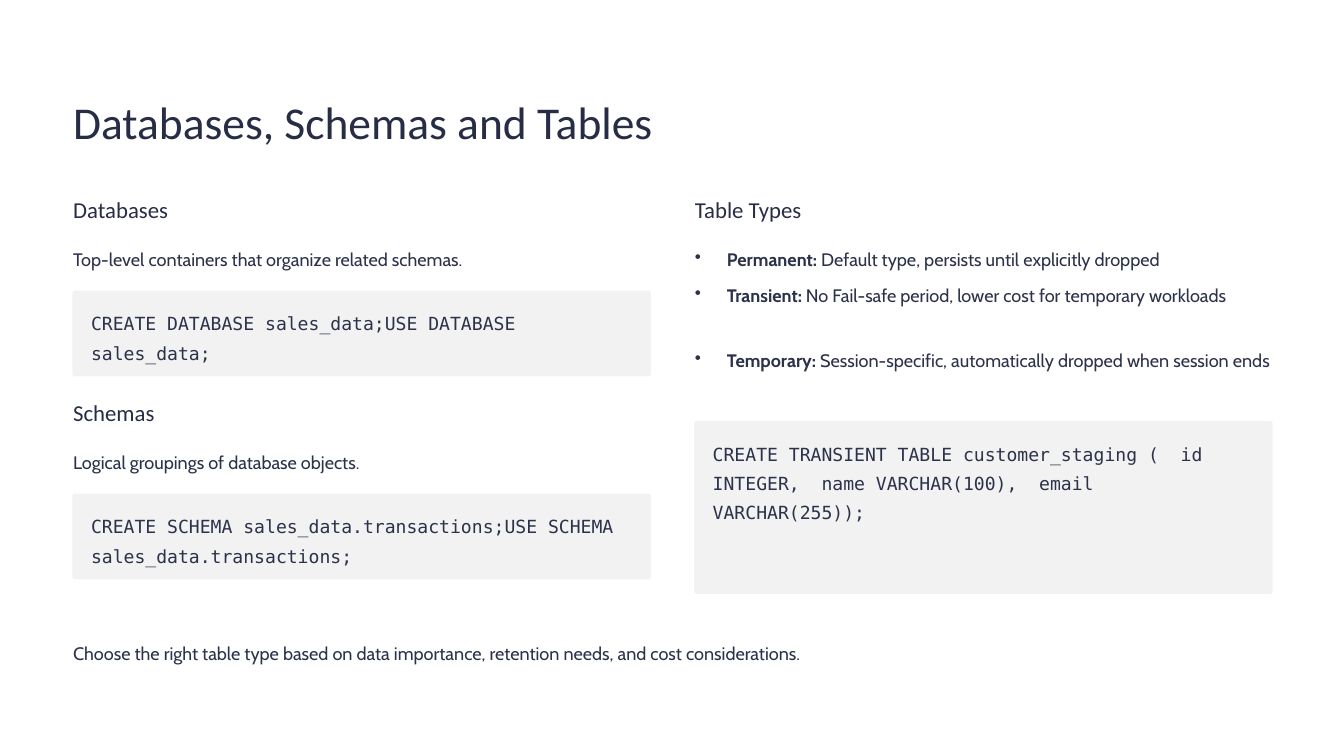
from dataclasses import dataclass

import lxml.etree
import pptx
import pptx.dml.color
import pptx.enum.shapes
import pptx.enum.text
import pptx.oxml.ns
import pptx.util

Cm = pptx.util.Cm
Pt = pptx.util.Pt


@dataclass(frozen=True)
class Theme:
    heading: str = "272D45"
    body: str = "2C3249"
    panel: str = "F2F2F2"
    background: str = "FFFFFF"
    heading_font: str = "Calibri"
    body_font: str = "Cabin"
    code_font: str = "DejaVu Sans Mono"
    title_size: float = 39
    heading_size: float = 19.5
    body_size: float = 15.5
    title_line: float = 48.5
    heading_line: float = 24
    body_line: float = 25


def rgb(value):
    return pptx.dml.color.RGBColor.from_string(value)


class SlideBuilder:
    def __init__(self, prs, theme):
        self.theme = theme
        self.slide = prs.slides.add_slide(prs.slide_layouts[5])
        fill = self.slide.background.fill
        fill.solid()
        fill.fore_color.rgb = rgb(theme.background)

    def frame(self, sp, inset_x=0, inset_y=0):
        tf = sp.text_frame
        tf.word_wrap = True
        tf.auto_size = pptx.enum.text.MSO_AUTO_SIZE.NONE
        tf.vertical_anchor = pptx.enum.text.MSO_ANCHOR.TOP
        tf.margin_left = tf.margin_right = Cm(inset_x)
        tf.margin_top = tf.margin_bottom = Cm(inset_y)
        return tf

    def format(self, p, font, size, line, color):
        p.alignment = pptx.enum.text.PP_ALIGN.LEFT
        p.line_spacing = Pt(line)
        for r in p.runs:
            r.font.name = font
            r.font.size = Pt(size)
            r.font.color.rgb = rgb(color)

    def format_heading(self, p, size, line):
        self.format(p, self.theme.heading_font, size, line, self.theme.heading)

    def format_body(self, p, font):
        t = self.theme
        self.format(p, font, t.body_size, t.body_line, t.body)

    def text_box(self, x, y, w, h):
        sp = self.slide.shapes.add_textbox(Cm(x), Cm(y), Cm(w), Cm(h))
        return self.frame(sp).paragraphs[0]

    def title(self, text, x, y, w, h):
        sp = self.slide.shapes.title
        sp.left, sp.top, sp.width, sp.height = Cm(x), Cm(y), Cm(w), Cm(h)
        p = self.frame(sp).paragraphs[0]
        p.text = text
        self.format_heading(p, self.theme.title_size, self.theme.title_line)

    def heading(self, text, x, y):
        p = self.text_box(x, y, 6.88, 0.86)
        p.text = text
        self.format_heading(p, self.theme.heading_size, self.theme.heading_line)

    def body(self, text, x, y, w):
        p = self.text_box(x, y, w, 0.89)
        p.text = text
        self.format_body(p, self.theme.body_font)

    def bullet(self, term, text, x, y, w, h):
        p = self.text_box(x, y, w, h)
        pPr = p._p.get_or_add_pPr()
        indent = Cm(0.97)
        pPr.set("marL", str(indent))
        pPr.set("indent", str(-indent))
        bu = lxml.etree.SubElement(pPr, pptx.oxml.ns.qn("a:buChar"))
        bu.set("char", "•")
        for part, bold in ((f"{term}:", True), (f" {text}", False)):
            r = p.add_run()
            r.text = part
            r.font.bold = bold
        self.format_body(p, self.theme.body_font)

    def code(self, text, x, y, w, h):
        sp = self.slide.shapes.add_shape(
            pptx.enum.shapes.MSO_SHAPE.ROUNDED_RECTANGLE, Cm(x), Cm(y), Cm(w), Cm(h))
        sp.adjustments[0] = 0.08 / h
        sp.shadow.inherit = False
        sp.fill.solid()
        sp.fill.fore_color.rgb = rgb(self.theme.panel)
        sp.line.fill.background()
        p = self.frame(sp, 0.54, 0.42).paragraphs[0]
        p.text = text
        self.format_body(p, self.theme.code_font)


def main():
    prs = pptx.Presentation()
    prs.slide_width, prs.slide_height = Cm(40.64), Cm(22.86)
    s = SlideBuilder(prs, Theme())
    left, right, column = 2.21, 21.01, 17.45
    top, section_step = 5.89, 6.14
    body_offset, code_offset = 1.4, 2.9

    s.title("Databases, Schemas and Tables", left, 2.79, 19.23, 1.73)

    sections = (
        ("Databases", "Top-level containers that organize related schemas.",
         "CREATE DATABASE sales_data;USE DATABASE sales_data;"),
        ("Schemas", "Logical groupings of database objects.",
         "CREATE SCHEMA sales_data.transactions;USE SCHEMA sales_data.transactions;"),
    )
    for i, (name, description, code) in enumerate(sections):
        y = top + i * section_step
        s.heading(name, left, y)
        s.body(description, left, y + body_offset, column)
        s.code(code, left - 0.02, y + code_offset, column + 0.04, 2.59)

    s.heading("Table Types", right, top)
    table_types = (
        ("Permanent", "Default type, persists until explicitly dropped", 0.89),
        ("Transient", "No Fail-safe period, lower cost for temporary workloads", 1.75),
        ("Temporary", "Session-specific, automatically dropped when session ends", 1.75),
    )
    y = top + body_offset
    for term, text, height in table_types:
        s.bullet(term, text, right, y, column, height)
        y += height + 0.2
    s.code("CREATE TRANSIENT TABLE customer_staging (  id INTEGER,  name VARCHAR(100),  "
           "email VARCHAR(255));", right - 0.02, 12.73, column + 0.04, 5.23)

    s.body("Choose the right table type based on data importance, retention needs, "
           "and cost considerations.", left, 19.2, 36.22)
    prs.save("out.pptx")


if __name__ == "__main__":
    main()
